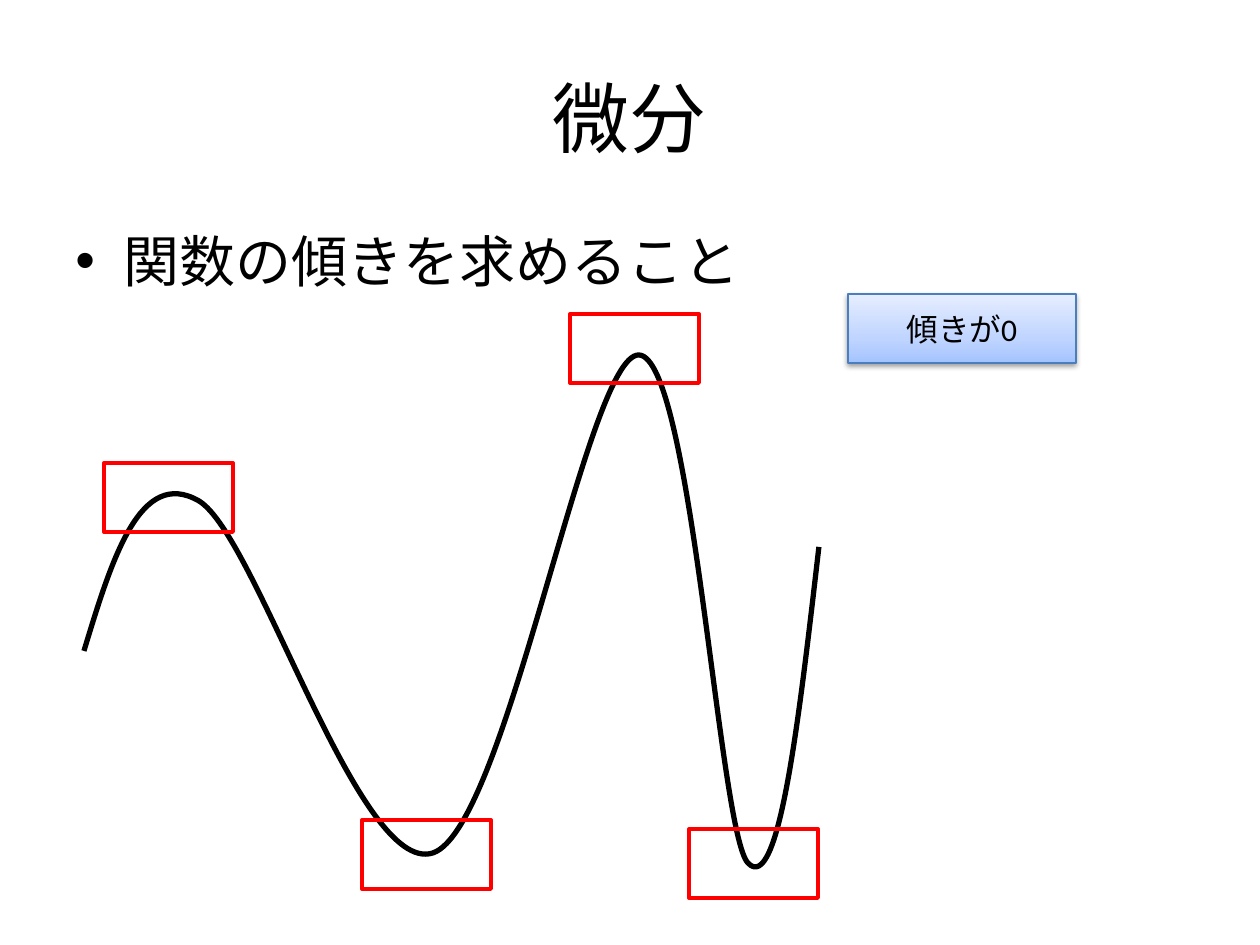
"""Build a slide on derivatives: a curve with its flat points boxed."""
from copy import deepcopy
from lxml import etree
from pptx import Presentation
from pptx.dml.color import RGBColor
from pptx.enum.shapes import MSO_SHAPE
from pptx.enum.text import MSO_ANCHOR, PP_ALIGN
from pptx.oxml import parse_xml
from pptx.oxml.ns import qn
from pptx.util import Pt

PX = 914400 // 126
RECT = MSO_SHAPE.RECTANGLE
TOP, MID = MSO_ANCHOR.TOP, MSO_ANCHOR.MIDDLE
LEFT, MIDDLE = PP_ALIGN.LEFT, PP_ALIGN.CENTER
NS = 'xmlns:a="http://schemas.openxmlformats.org/drawingml/2006/main"'


def write(shape, text, size, align, anchor):
    frame = shape.text_frame
    frame.word_wrap = True
    frame.vertical_anchor = anchor
    par = frame.paragraphs[0]
    par.alignment = align
    run = par.add_run()
    run.text = text
    run.font.size = Pt(size)
    run.font.name = "Calibri"
    run.font.color.rgb = RGBColor.from_string("000000")
    return par


def stroke(shape, color, width):
    shape.shadow.inherit = False
    shape.line.color.rgb = RGBColor.from_string(color)
    shape.line.width = Pt(width)


prs = Presentation()
prs.slide_width, prs.slide_height = 1260 * PX, 945 * PX
slide = prs.slides.add_slide(prs.slide_layouts[5])
shapes = slide.shapes

title = shapes.title
title.left, title.top, title.width, title.height = [
    v * PX for v in (63, 38, 1134, 157)]
write(title, "微分", 44, MIDDLE, MID)

body = shapes.add_textbox(*[v * PX for v in (63, 220, 1134, 624)])
par = write(body, "関数の傾きを求めること", 32, LEFT, TOP)
props = par._p.get_or_add_pPr()
props.set("marL", str(48 * PX))
props.set("indent", str(-48 * PX))
props.append(parse_xml(f'<a:spcBef {NS}><a:spcPct val="20000"/></a:spcBef>'))
props.append(parse_xml(f'<a:buFont {NS} typeface="Arial"/>'))
props.append(parse_xml(f'<a:buChar {NS} char="•"/>'))

points = [
    (112, 559), (140, 467), (199, 501),
    (257, 536), (359, 877), (433, 853),
    (507, 828), (587, 354), (639, 355),
    (692, 357), (719, 832), (748, 863),
    (779, 896), (799, 720), (819, 547),
]
pen = shapes.build_freeform(84, 651, scale=PX)
pen.add_line_segments(points, close=False)
curve = pen.convert_to_shape()
curve.fill.background()
stroke(curve, "000000", 3)
lines = list(curve._element.iter(qn("a:lnTo")))
for i in range(0, len(lines), 3):
    bend = etree.SubElement(lines[i].getparent(), qn("a:cubicBezTo"))
    for line in lines[i:i + 3]:
        bend.append(line[0])
        line.getparent().remove(line)

for x, y in [(104, 463), (362, 820), (570, 314), (689, 829)]:
    frame = shapes.add_shape(RECT, x * PX, y * PX, 129 * PX, 69 * PX)
    frame.fill.background()
    stroke(frame, "FF0000", 2.25)

label = shapes.add_shape(RECT, *[v * PX for v in (848, 294, 228, 69)])
stroke(label, "4B7EBC", 0.75)
label.fill.gradient()
label.fill.gradient_angle = 90
stops = label._element.spPr.find(".//" + qn("a:gsLst"))
stops.append(deepcopy(stops[-1]))
shades = [(0, "A4C4FF"), (0.35, "BFD4FF"), (1, "E6EEFF")]
for stop, (pos, color) in zip(label.fill.gradient_stops, shades):
    stop.position = pos
    stop.color.rgb = RGBColor.from_string(color)
label._element.spPr.find(qn("a:effectLst")).append(parse_xml(
    f'<a:outerShdw {NS} blurRad="39400" dist="20300" dir="5400000" '
    'rotWithShape="0"><a:srgbClr val="000000"><a:alpha val="38000"/>'
    '</a:srgbClr></a:outerShdw>'))
write(label, "傾きが0", 18, MIDDLE, MID)

prs.save("out.pptx")
